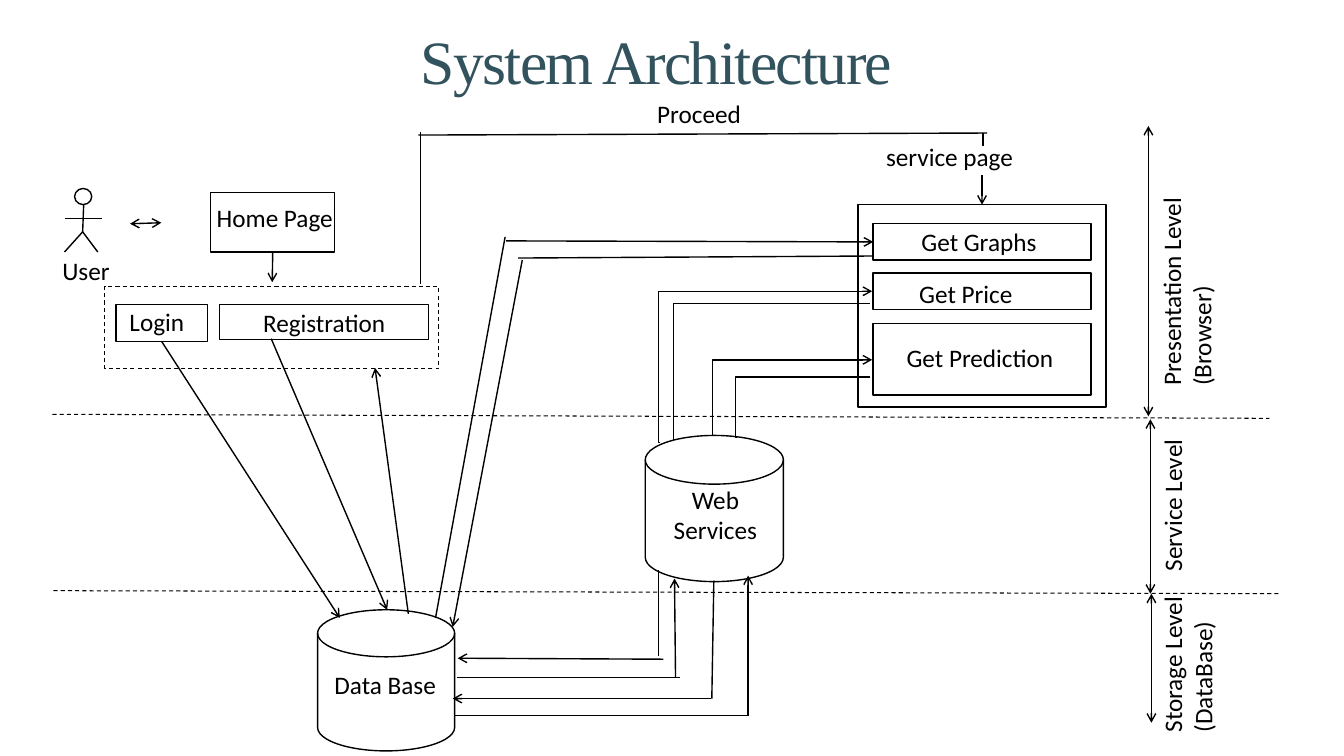
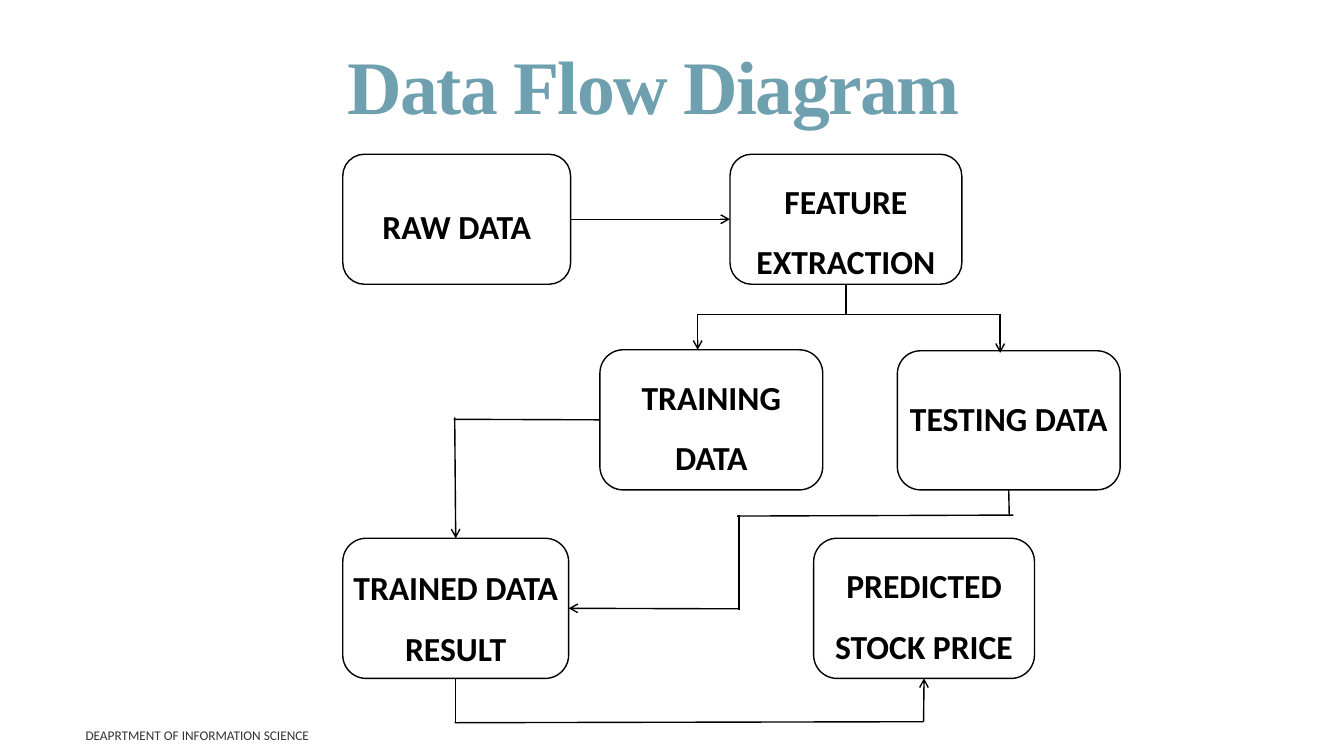
from lxml.etree import SubElement
from pptx import Presentation
from pptx.dml.color import RGBColor
from pptx.enum.dml import MSO_LINE
from pptx.enum.shapes import MSO_CONNECTOR, MSO_SHAPE
from pptx.enum.text import MSO_ANCHOR, MSO_AUTO_SIZE, PP_ALIGN
from pptx.oxml.ns import qn
from pptx.util import Pt

SCALE = 9144  # EMU in one px, 100 px to the inch
BLACK = RGBColor(0x00, 0x00, 0x00)
FOOTER_GREY = RGBColor(0x33, 0x33, 0x33)
DARK_TEAL = RGBColor(0x32, 0x52, 0x5D)
LIGHT_TEAL = RGBColor(0x6E, 0xA0, 0xB0)
TITLE_FONT, BODY_FONT = "Times New Roman", "Calibri"
RECT, DISK = MSO_SHAPE.RECTANGLE, MSO_SHAPE.FLOWCHART_MAGNETIC_DISK
TOP, LEFT, BOTTOM, RIGHT = range(4)  # connection sites


def emu(*lengths):
    return [round(length * SCALE) for length in lengths]


def style_paragraph(para, size, font=BODY_FONT, color=BLACK, bold=False,
                    align=PP_ALIGN.LEFT, spacing=1.0):
    para.alignment = align
    para.line_spacing = spacing
    para.font.name = font
    para.font.size = Pt(size)
    para.font.bold = bold
    para.font.color.rgb = color


def set_frame(frame, text, pads, anchor, **style):
    frame.text = text
    frame.word_wrap = True
    frame.auto_size = MSO_AUTO_SIZE.NONE
    frame.vertical_anchor = anchor
    (frame.margin_left, frame.margin_top,
     frame.margin_right, frame.margin_bottom) = emu(*pads)
    style_paragraph(frame.paragraphs[0], **style)


class Region:
    """Draws on a page with positions relative to its own corner."""

    def __init__(self, page, left=0, top=0):
        self.shapes, self.left, self.top = page.shapes, left, top

    def place(self, x, y):
        return emu(self.left + x, self.top + y)

    def box(self, bounds, text="", kind=RECT, pads=(0, 0, 0, 0), dashed=False,
            size=18, anchor=MSO_ANCHOR.MIDDLE, **style):
        x, y, width, height = bounds
        box = self.shapes.add_shape(kind, *self.place(x, y), *emu(width, height))
        box.shadow.inherit = False
        box.fill.background()
        box.line.color.rgb = BLACK
        box.line.width = Pt(0.75 if dashed else 1)
        if dashed:
            box.line.dash_style = MSO_LINE.DASH
        if text:
            set_frame(box.text_frame, text, pads, anchor, size=size,
                      align=PP_ALIGN.CENTER, **style)
        return box

    def label(self, bounds, text, rotation=0, size=18, color=BLACK,
              anchor=MSO_ANCHOR.TOP):
        x, y, width, height = bounds
        label = self.shapes.add_textbox(*self.place(x, y), *emu(width, height))
        label.rotation = rotation
        set_frame(label.text_frame, text, (10, 5, 10, 5), anchor,
                  size=size, color=color)

    def line(self, start, end, arrows="", begin=None, finish=None,
             dashed=False, kind=MSO_CONNECTOR.STRAIGHT):
        """arrows holds '<' and/or '>'; begin and finish are (shape, site)."""
        line = self.shapes.add_connector(kind, *self.place(*start), *self.place(*end))
        line.line.color.rgb = BLACK
        line.line.width = Pt(0.75 if dashed else 1)
        if dashed:
            line.line.dash_style = MSO_LINE.DASH
        outline = line.line._get_or_add_ln()
        for sign, tag in (("<", "a:headEnd"), (">", "a:tailEnd")):
            if sign in arrows:
                SubElement(outline, qn(tag), type="arrow")
        SubElement(line._element.spPr, qn("a:effectLst"))
        if begin:
            line.begin_connect(*begin)
        if finish:
            line.end_connect(*finish)
        return line

    def elbow(self, start, end, arrows=""):
        """Goes up from start, then across to end."""
        line = self.line(start, end, arrows, kind=MSO_CONNECTOR.ELBOW)
        guides = line._element.spPr.find(qn("a:prstGeom")).get_or_add_avLst()
        SubElement(guides, qn("a:gd"), name="adj1", fmla="val -1000")


def add_titled_page(deck, text, bounds, size, color, bold=False):
    page = deck.slides.add_slide(deck.slide_layouts[5])
    title = page.shapes.title
    title.left, title.top, title.width, title.height = emu(*bounds)
    set_frame(title.text_frame, text, (10, 5, 10, 5), MSO_ANCHOR.MIDDLE,
              size=size, font=TITLE_FONT, color=color, bold=bold,
              align=PP_ALIGN.CENTER, spacing=0.85)
    span = title.text_frame.paragraphs[0].runs[0]
    span._r.get_or_add_rPr().set("spc", "-120")
    return page


# Parts of the architecture slide
def draw_user(region):
    region.box((22, 0, 17, 16), kind=MSO_SHAPE.OVAL)
    for start, end in (((31, 16), (30, 43)), ((30, 43), (12, 63)),
                       ((30, 43), (45, 63)), ((12, 30), (49, 30))):
        region.line(start, end)
    region.label((0, 61, 107, 33), "User")
    region.line((77, 35), (108, 34), "<>")


def draw_entry(region):
    home = region.box((105, 0, 123, 59), "Home Page", pads=(4, 0, 0, 10))
    region.box((0, 93, 331, 82), dashed=True)
    login = region.box((11, 111, 91, 37), "Login", pads=(0, 0, 10, 4))
    region.box((114, 111, 207, 35), "Registration")
    region.line((166, 59), (166, 89), ">", begin=(home, BOTTOM))
    return login


def draw_service_page(region):
    frame = region.box((0, 0, 246, 201))
    graphs = region.box((15, 19, 216, 36), "Get Graphs", pads=(0, 0, 6, 0))
    region.box((15, 68, 216, 36), "Get Price", pads=(0, 4, 32, 0))
    region.box((15, 118, 216, 71), "Get Prediction", pads=(0, 0, 4, 3))
    return frame, graphs


def draw_levels(region):
    region.line((0, 286), (1207, 290), dashed=True)
    region.line((1, 461), (1219, 464), dashed=True)
    for x, top, bottom, bounds, text in (
            (1087, 0, 288, (998, 82, 277, 94), "Presentation Level (Browser)"),
            (1089, 291, 464, (1061, 316, 165, 106), "Service Level"),
            (1090, 464, 592, (1062, 466, 174, 117), "Storage Level (DataBase)")):
        region.line((x, top), (x, bottom), "<>")
        region.label(bounds, text, rotation=270)


def draw_proceed(region, frame):
    region.line((2, 151), (2, 0))
    region.line((0, 3), (564, 1))
    region.line((560, 1), (560, 14))
    region.label((227, -38, 285, 33), "Proceed")
    region.label((454, 4, 444, 40), "service page")
    region.line((559, 43), (559, 72), ">", finish=(frame, TOP))


def draw_stores(region):
    region.box((0, 173, 136, 140), "Data Base", DISK, pads=(8, 0, 10, 16))
    region.box((325, 0, 137, 145), "Web Services", DISK, pads=(12, 0, 10, 13))
    # Exchange between the two stores
    for start, end, arrows in (
            ((338, 133), (338, 219), ""), ((343, 222), (139, 221), ">"),
            ((138, 240), (359, 240), ""), ((355, 240), (354, 142), ">"),
            ((393, 144), (391, 261), ""), ((390, 261), (134, 261), ">"),
            ((136, 278), (428, 278), ""), ((427, 277), (427, 139), ">")):
        region.line(start, end, arrows)


def draw_requests(region, login, graphs):
    # Login and registration with the data base
    region.line((160, 339), (337, 613), ">", begin=(login, BOTTOM))
    region.line((269, 336), (384, 605), ">")
    region.line((405, 609), (372, 365), ">")
    # Graphs with the data base
    region.line((432, 613), (501, 235))
    region.line((502, 239), (865, 238), ">", finish=(graphs, LEFT))
    region.line((865, 254), (514, 256))
    region.line((518, 258), (449, 622), ">")
    # Price and prediction with the web services
    region.elbow((708, 432), (865, 357), ">")
    region.elbow((731, 434), (863, 374))
    region.elbow((655, 439), (865, 289), ">")
    region.elbow((670, 436), (863, 301))


def build_architecture(deck):
    page = add_titled_page(deck, "System Architecture", (62, 26, 1178, 79),
                           44, DARK_TEAL)
    draw_user(Region(page, 52, 187))
    login = draw_entry(Region(page, 104, 191))
    frame, graphs = draw_service_page(Region(page, 851, 203))
    draw_levels(Region(page, 52, 125))
    draw_proceed(Region(page, 415, 131), frame)
    draw_stores(Region(page, 315, 432))
    draw_requests(Region(page), login, graphs)


# Parts of the data flow slide
def draw_steps(region):
    steps = {}
    for name, bounds, text, top_pad, spacing in (
            ("raw", (0, 0, 226, 129), "RAW DATA", 5, 2.0),
            ("feature", (384, 0, 230, 129), "FEATURE EXTRACTION", 0, 1.5),
            ("training", (255, 194, 221, 139), "TRAINING DATA", 0, 1.5),
            ("testing", (550, 195, 221, 138), "TESTING DATA", 0, 2.0),
            ("trained", (0, 381, 224, 139), "TRAINED DATA RESULT", 2, 1.5),
            ("predicted", (467, 381, 219, 139), "PREDICTED STOCK PRICE", 0, 1.5)):
        steps[name] = region.box(
            bounds, text, MSO_SHAPE.ROUNDED_RECTANGLE, pads=(0, top_pad, 0, 0),
            size=24, bold=True, anchor=MSO_ANCHOR.TOP, spacing=spacing)
    return steps


def draw_flow(region, steps):
    region.line((226, 65), (384, 65), ">",
                begin=(steps["raw"], RIGHT), finish=(steps["feature"], LEFT))
    # Split into training and testing
    region.line((499, 129), (499, 159), begin=(steps["feature"], BOTTOM))
    region.line((352, 159), (652, 159))
    region.line((352, 159), (352, 194), ">")
    region.line((652, 159), (652, 197), ">")
    # Training to result
    region.line((255, 264), (110, 263), begin=(steps["training"], LEFT))
    region.line((111, 261), (112, 381), ">", finish=(steps["trained"], TOP))
    # Testing to result
    region.line((661, 333), (661, 359), begin=(steps["testing"], BOTTOM))
    region.line((391, 359), (665, 358))
    region.line((393, 358), (393, 452))
    region.line((393, 451), (224, 451), ">", finish=(steps["trained"], RIGHT))
    # Result to prediction
    region.line((112, 520), (112, 563), begin=(steps["trained"], BOTTOM))
    region.line((111, 564), (576, 563))
    region.line((576, 563), (576, 520), ">", finish=(steps["predicted"], BOTTOM))


def build_data_flow(deck):
    page = add_titled_page(deck, "Data Flow Diagram", (59, 0, 1178, 181),
                           54, LIGHT_TEAL, bold=True)
    flow = Region(page, 340, 153)
    draw_flow(flow, draw_steps(flow))
    Region(page, 75, 717).label((0, 0, 550, 25), "DEAPRTMENT OF INFORMATION SCIENCE",
                                size=9.5, color=FOOTER_GREY, anchor=MSO_ANCHOR.MIDDLE)


def main():
    deck = Presentation()
    deck.slide_width, deck.slide_height = emu(1333, 750)
    build_architecture(deck)
    build_data_flow(deck)
    deck.save("out.pptx")


if __name__ == "__main__":
    main()
